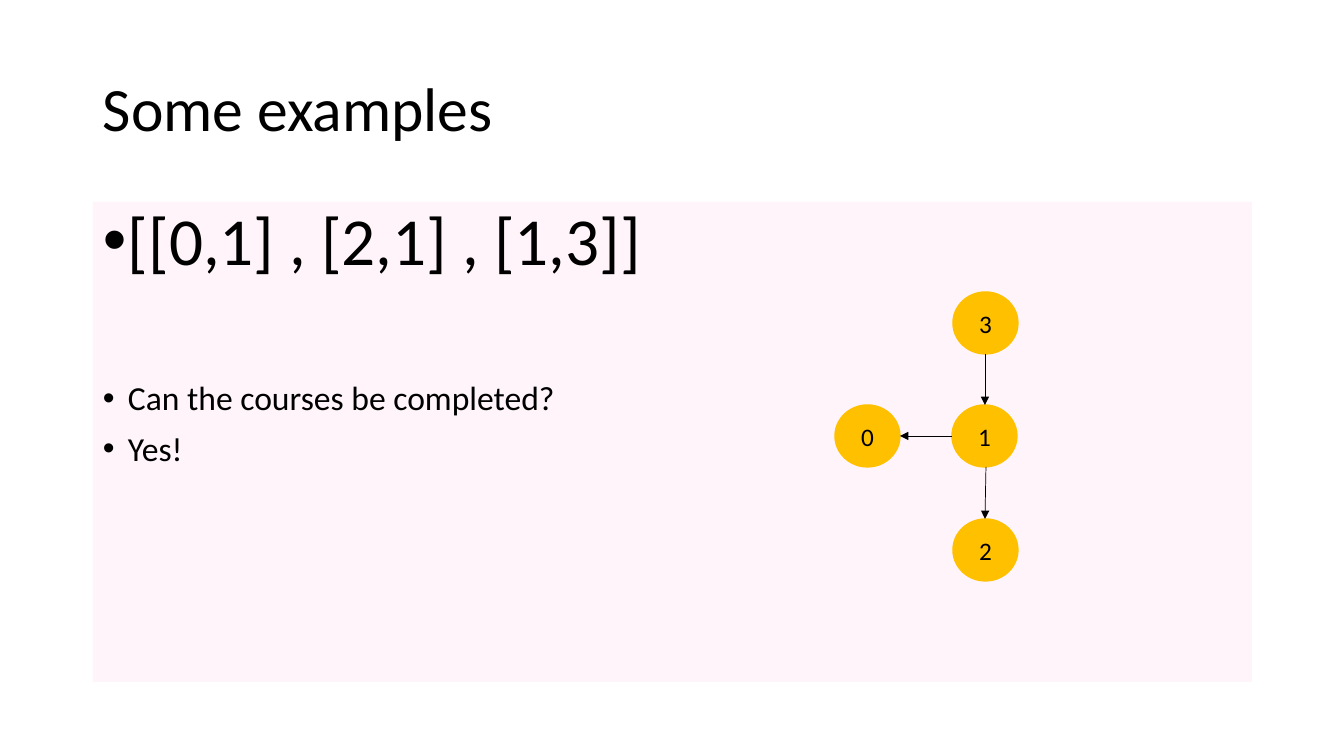
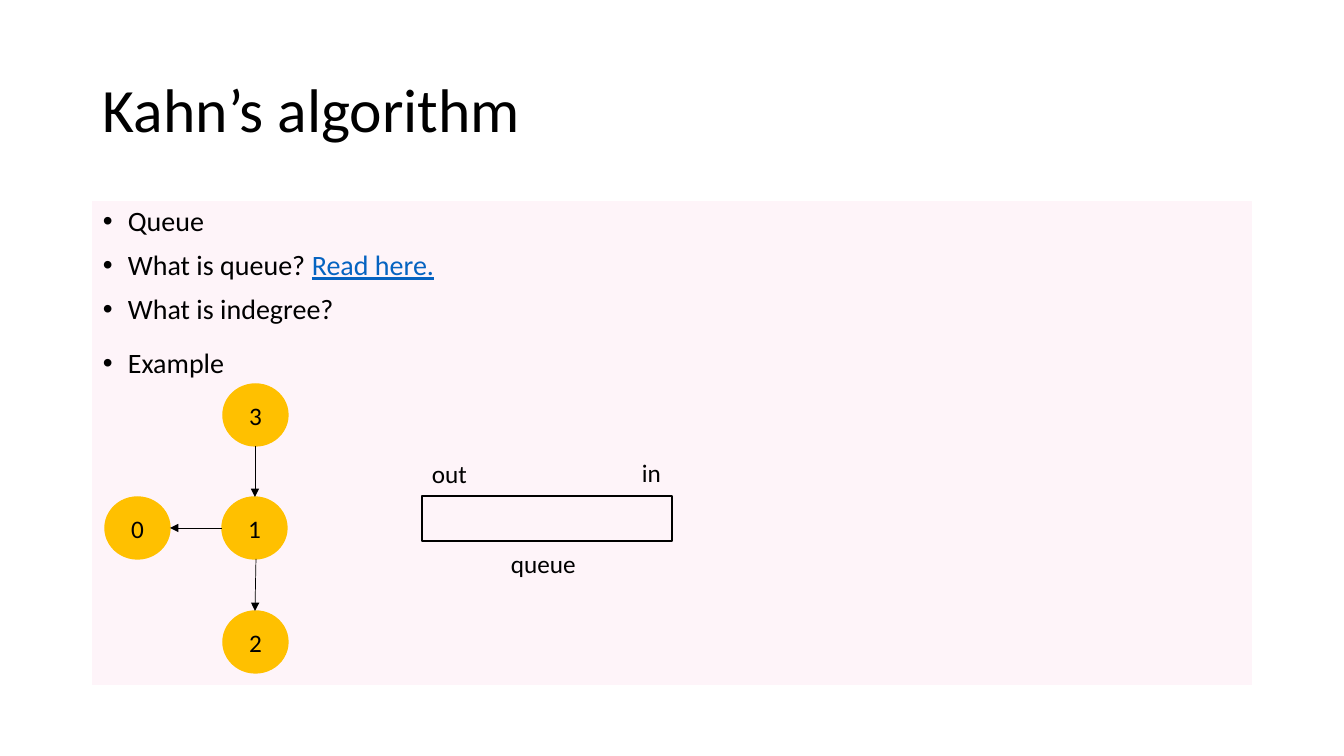
from dataclasses import dataclass

from lxml.etree import SubElement
from pptx import Presentation
from pptx.dml.color import RGBColor
from pptx.enum.shapes import MSO_CONNECTOR, MSO_SHAPE
from pptx.enum.text import MSO_ANCHOR, PP_ALIGN
from pptx.oxml.ns import qn
from pptx.util import Emu, Pt

EMU_PER_PIXEL = 914400 / 100.8


def pixels(*lengths):
    """Turn pixel lengths into EMU."""
    return [Emu(round(length * EMU_PER_PIXEL)) for length in lengths]


@dataclass(frozen=True)
class Theme:
    """Colours, font and type sizes of the deck."""
    ink: str = "000000"
    panel: str = "FEF4F9"
    node: str = "FFC000"
    link: str = "0563C1"
    font: str = "Calibri"
    title_size: int = 44
    label_size: int = 18
    line_spacing: float = 0.9
    bullet_gap: int = 10
    bullet_indent: int = 25


class SlideBuilder:
    """Holds the theme and the current page, and draws on it."""

    def __init__(self, deck, theme):
        """Keep the deck and the theme."""
        self.deck = deck
        self.theme = theme
        self.page = None

    def new_page(self):
        """Start a blank page."""
        self.page = self.deck.slides.add_slide(self.deck.slide_layouts[6])

    def add_span(self, para, text, size, color=None, underline=None):
        """Add one run to a paragraph."""
        span = para.add_run()
        span.text = text
        span.font.name = self.theme.font
        span.font.size = Pt(size)
        span.font.color.rgb = RGBColor.from_string(color or self.theme.ink)
        span.font.underline = underline

    def text(self, text, left, top, width, height, size):
        """Add a text box with one paragraph and return its frame."""
        box = self.page.shapes.add_textbox(*pixels(left, top, width, height))
        box.text_frame.word_wrap = True
        self.add_span(box.text_frame.paragraphs[0], text, size)
        return box.text_frame

    def title(self, text, top):
        """Add the page title."""
        frame = self.text(text, 93, top, 1159, 146, self.theme.title_size)
        frame.vertical_anchor = MSO_ANCHOR.MIDDLE
        frame.paragraphs[0].line_spacing = self.theme.line_spacing

    def label(self, text, left, top):
        """Add a small caption."""
        self.text(text, left, top, 111, 40, self.theme.label_size)

    def shape(self, kind, left, top, width, height, fill, line=None, weight=1):
        """Add a flat filled shape."""
        shape = self.page.shapes.add_shape(kind, *pixels(left, top, width, height))
        shape.shadow.inherit = False
        shape.fill.solid()
        shape.fill.fore_color.rgb = RGBColor.from_string(fill)
        if line:
            shape.line.color.rgb = RGBColor.from_string(line)
            shape.line.width = Pt(weight)
        else:
            shape.line.fill.background()
        return shape

    def panel(self, height, line=None):
        """Add the tinted body panel and return its text frame."""
        panel = self.shape(MSO_SHAPE.RECTANGLE, 93, 202, 1159, height,
                           self.theme.panel, line, 0.75)
        panel.text_frame.word_wrap = True
        panel.text_frame.vertical_anchor = MSO_ANCHOR.TOP
        return panel.text_frame

    def bullet(self, frame, text, size, gap=None, link=None):
        """Add a bulleted paragraph, with an optional link-styled ending."""
        first = frame.paragraphs[0]
        para = frame.add_paragraph() if first.runs else first
        para.alignment = PP_ALIGN.LEFT
        para.line_spacing = self.theme.line_spacing
        para.space_before = Pt(gap or self.theme.bullet_gap)
        indent = pixels(self.theme.bullet_indent)[0]
        properties = para._p.get_or_add_pPr()
        properties.set("marL", str(indent))
        properties.set("indent", str(-indent))
        SubElement(properties, qn("a:buFont"), typeface="Arial")
        SubElement(properties, qn("a:buChar"), char="•")
        self.add_span(para, text, size)
        if link:
            self.add_span(para, link, size, self.theme.link, True)

    def node(self, text, left, top, width, height):
        """Add a numbered graph node."""
        node = self.shape(MSO_SHAPE.OVAL, left, top, width, height,
                          self.theme.node, self.theme.node)
        node.text_frame.vertical_anchor = MSO_ANCHOR.MIDDLE
        para = node.text_frame.paragraphs[0]
        para.alignment = PP_ALIGN.CENTER
        self.add_span(para, text, self.theme.label_size)

    def arrow(self, *ends):
        """Add a thin arrow between two points."""
        arrow = self.page.shapes.add_connector(MSO_CONNECTOR.STRAIGHT, *pixels(*ends))
        arrow.line.color.rgb = RGBColor.from_string(self.theme.ink)
        arrow.line.width = Pt(0.5)
        SubElement(arrow.line._get_or_add_ln(), qn("a:tailEnd"), type="triangle")
        SubElement(arrow._element.spPr, qn("a:effectLst"))

    def course_graph(self, left, top):
        """Draw the course graph; left and top place node 1."""
        width, height = 65, 62
        offsets = {"1": (0, 0), "0": (-117, 0), "2": (1, 114), "3": (1, -113)}
        for text, (across, down) in offsets.items():
            self.node(text, left + across, top + down, width, height)
        center, middle = left + width // 2 + 1, top + height // 2
        self.arrow(left, middle, left - 117 + width, middle)
        self.arrow(center + 1, top + height, center, top + 114)
        self.arrow(center, top - 113 + height, center, top)


def examples_page(builder):
    """Build the page with the example course list."""
    builder.new_page()
    builder.title("Some examples", 38)
    body = builder.panel(480)
    builder.bullet(body, "[[0,1] , [2,1] , [1,3]]", 48)
    builder.bullet(body, "Can the courses be completed?", 24, gap=73)
    builder.bullet(body, "Yes!", 24)
    builder.course_graph(952, 405)


def algorithm_page(builder):
    """Build the page on the algorithm and its queue."""
    theme = builder.theme
    builder.new_page()
    builder.title("Kahn’s algorithm", 40)
    body = builder.panel(483, theme.panel)
    builder.bullet(body, "Queue", 20)
    builder.bullet(body, "What is queue? ", 20, link="Read here.")
    builder.bullet(body, "What is indegree?", 20)
    builder.bullet(body, "Example", 20, gap=17)
    builder.course_graph(222, 497)
    builder.shape(MSO_SHAPE.RECTANGLE, 422, 496, 250, 45, theme.panel, theme.ink)
    builder.label("queue", 501, 543)
    builder.label("out", 422, 453)
    builder.label("in", 632, 452)


def main():
    """Build and save the deck."""
    deck = Presentation()
    deck.slide_width, deck.slide_height = pixels(1344, 756)
    builder = SlideBuilder(deck, Theme())
    examples_page(builder)
    algorithm_page(builder)
    deck.save("out.pptx")


main()
